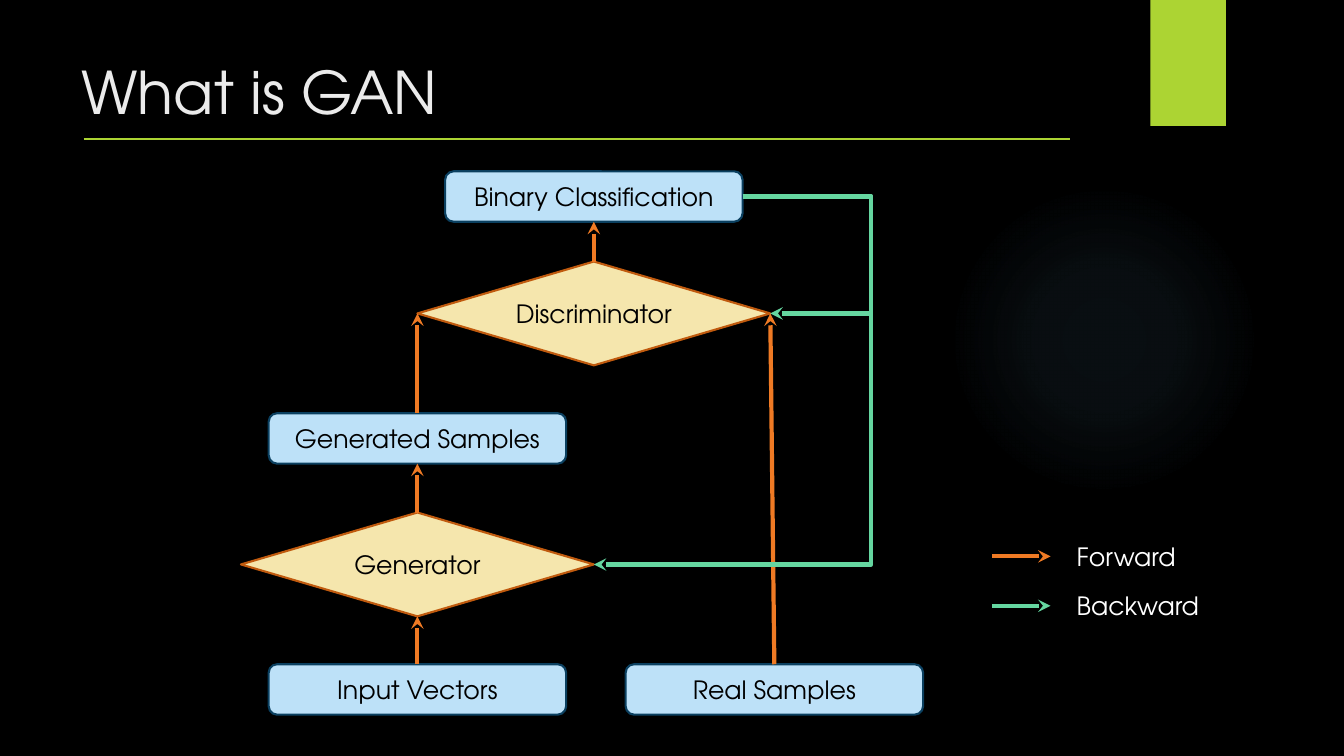
"""Build the slide that explains how a GAN is trained."""

from dataclasses import dataclass

from pptx import Presentation
from pptx.dml.color import RGBColor
from pptx.enum.shapes import MSO_CONNECTOR, MSO_SHAPE
from pptx.enum.text import MSO_ANCHOR, PP_ALIGN
from pptx.oxml import parse_xml
from pptx.oxml.ns import nsdecls
from pptx.shapes.autoshape import Shape
from pptx.shapes.connector import Connector
from pptx.slide import Slide
from pptx.util import Inches, Pt

FONT = "TeX Gyre Adventor"
BLACK = RGBColor(0x00, 0x00, 0x00)
WHITE = RGBColor(0xFF, 0xFF, 0xFF)
TITLE_GREY = RGBColor(0xEB, 0xEB, 0xEB)
LIME = RGBColor(0xAC, 0xD4, 0x33)
GLOW = RGBColor(0x7A, 0xC4, 0xF0)
FORWARD = RGBColor(0xEF, 0x7A, 0x24)
BACKWARD = RGBColor(0x65, 0xD6, 0xA0)

TOP, LEFT, BOTTOM, RIGHT = range(4)
LANE_X = 8.64


@dataclass(frozen=True)
class Style:
    kind: MSO_SHAPE
    width: float
    height: float
    fill: RGBColor
    line: RGBColor


@dataclass(frozen=True)
class Node:
    text: str
    cx: float
    cy: float
    style: Style


@dataclass(frozen=True)
class Link:
    start: str
    start_site: int
    end: str
    end_site: int


DATA = Style(MSO_SHAPE.ROUNDED_RECTANGLE, 2.95, 0.5,
             RGBColor(0xBD, 0xE1, 0xF8), RGBColor(0x0B, 0x40, 0x60))
NETWORK = Style(MSO_SHAPE.DIAMOND, 3.5, 1.03,
                RGBColor(0xF5, 0xE6, 0xAD), RGBColor(0xC0, 0x5A, 0x0E))

NODES = [
    Node("Input Vectors", 4.14, 6.84, DATA),
    Node("Real Samples", 7.68, 6.84, DATA),
    Node("Generated Samples", 4.14, 4.35, DATA),
    Node("Discriminator", 5.89, 3.11, NETWORK),
    Node("Binary Classification", 5.89, 1.95, DATA),
    Node("Generator", 4.14, 5.6, NETWORK),
]
FORWARD_LINKS = [
    Link("Input Vectors", TOP, "Generator", BOTTOM),
    Link("Generator", TOP, "Generated Samples", BOTTOM),
    Link("Generated Samples", TOP, "Discriminator", LEFT),
    Link("Real Samples", TOP, "Discriminator", RIGHT),
    Link("Discriminator", TOP, "Binary Classification", BOTTOM),
]
BACKWARD_ENDS = ["Discriminator", "Generator"]
LEGEND = [("Forward", FORWARD, 1.2), ("Backward", BACKWARD, 1.44)]


def style_text(s: Shape, text: str, size: float, color: RGBColor) -> None:
    tf = s.text_frame
    tf.text = text
    font = tf.paragraphs[0].runs[0].font
    font.name, font.size = FONT, Pt(size)
    font.color.rgb = color


def add_label(slide: Slide, text: str, box: tuple[float, float, float, float],
              size: float, color: RGBColor, wrap: bool) -> None:
    s = slide.shapes.add_textbox(*map(Inches, box))
    style_text(s, text, size, color)
    s.text_frame.word_wrap = wrap


def add_node(slide: Slide, node: Node) -> Shape:
    style = node.style
    s = slide.shapes.add_shape(
        style.kind, Inches(node.cx - style.width / 2), Inches(node.cy - style.height / 2),
        Inches(style.width), Inches(style.height))
    s.shadow.inherit = False
    s.fill.solid()
    s.fill.fore_color.rgb = style.fill
    s.line.color.rgb = style.line
    s.line.width = Pt(1.5)
    style_text(s, node.text, 18, BLACK)
    s.text_frame.vertical_anchor = MSO_ANCHOR.MIDDLE
    s.text_frame.paragraphs[0].alignment = PP_ALIGN.CENTER
    return s


def add_line(slide: Slide, points: tuple[float, float, float, float], color: RGBColor,
             width: float = 3, arrow: bool = True,
             kind: MSO_CONNECTOR = MSO_CONNECTOR.STRAIGHT) -> Connector:
    c = slide.shapes.add_connector(kind, *map(Inches, points))
    c.line.color.rgb = color
    c.line.width = Pt(width)
    if arrow:
        c.line._get_or_add_ln().append(
            parse_xml(f'<a:tailEnd {nsdecls("a")} type="stealth"/>'))
    c._element.spPr.append(parse_xml(f'<a:effectLst {nsdecls("a")}/>'))
    return c


def add_feedback(slide: Slide, start: Node, end: Node) -> None:
    x1 = start.cx + start.style.width / 2
    x2 = end.cx + end.style.width / 2
    c = add_line(slide, (x1, start.cy, x2, end.cy), BACKWARD, kind=MSO_CONNECTOR.ELBOW)
    bend = round((LANE_X - x1) / (x2 - x1) * 100000)
    geometry = c._element.spPr.find("{*}prstGeom")
    for child in list(geometry):
        geometry.remove(child)
    geometry.append(parse_xml(
        f'<a:avLst {nsdecls("a")}><a:gd name="adj1" fmla="val {bend}"/></a:avLst>'))


def add_backdrop(slide: Slide) -> None:
    glow = slide.shapes.add_shape(
        MSO_SHAPE.OVAL, Inches(9.41), Inches(1.83), Inches(3.08), Inches(3.08))
    stops = "".join(
        f'<a:gs pos="{pos}000"><a:srgbClr val="{GLOW}"><a:alpha val="{alpha}000"/>'
        "</a:srgbClr></a:gs>" for pos, alpha in [(0, 7), (36, 6), (69, 0)])
    glow._element.spPr.insert(2, parse_xml(
        f'<a:gradFill {nsdecls("a")}><a:gsLst>{stops}</a:gsLst><a:path path="circle">'
        '<a:fillToRect l="50000" t="50000" r="50000" b="50000"/></a:path></a:gradFill>'))
    tab = slide.shapes.add_shape(
        MSO_SHAPE.RECTANGLE, Inches(11.41), Inches(0), Inches(0.75), Inches(1.25))
    tab.fill.solid()
    tab.fill.fore_color.rgb = LIME
    for s in (glow, tab):
        s.shadow.inherit = False
        s.line.fill.background()


def main() -> None:
    prs = Presentation()
    prs.slide_width, prs.slide_height = Inches(13.33), Inches(7.5)
    slide = prs.slides.add_slide(prs.slide_layouts[6])
    slide.background.fill.solid()
    slide.background.fill.fore_color.rgb = BLACK

    add_backdrop(slide)
    add_label(slide, "What is GAN", (0.71, 0.5, 10.29, 1.53), 42, TITLE_GREY, True)
    add_line(slide, (0.83, 1.38, 10.61, 1.38), LIME, width=1.5, arrow=False)

    nodes = {node.text: node for node in NODES}
    shapes = {node.text: add_node(slide, node) for node in NODES}
    for link in FORWARD_LINKS:
        c = add_line(slide, (0, 0, 0, 0), FORWARD)
        c.begin_connect(shapes[link.start], link.start_site)
        c.end_connect(shapes[link.end], link.end_site)
    for end in BACKWARD_ENDS:
        add_feedback(slide, nodes["Binary Classification"], nodes[end])

    for i, (text, color, width) in enumerate(LEGEND):
        y = 5.52 + 0.49 * i
        add_line(slide, (9.84, y, 10.42, y), color)
        add_label(slide, text, (10.58, y - 0.2, width, 0.4), 18, WHITE, False)

    prs.save("out.pptx")


if __name__ == "__main__":
    main()
